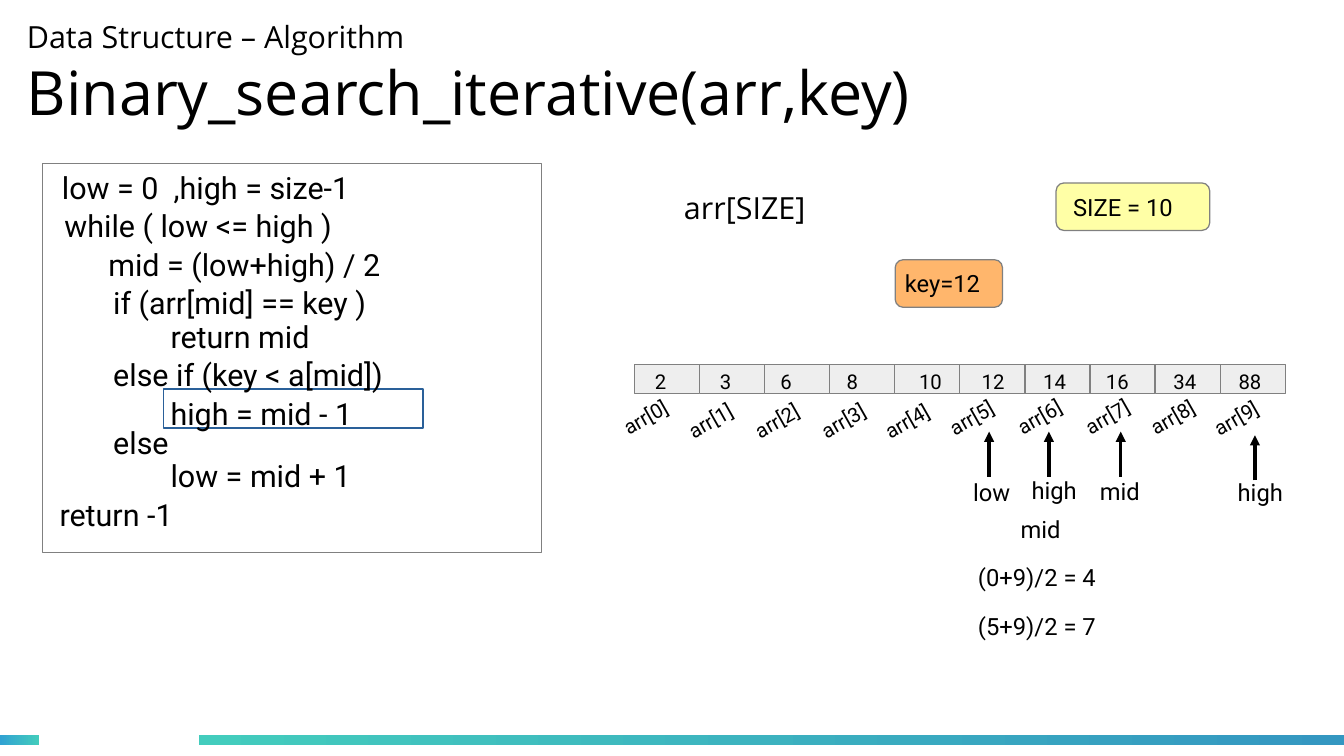
import pptx
import pptx.util
import pptx.dml.color
import pptx.enum.shapes
import pptx.enum.text
import pptx.oxml.ns
import pptx.oxml.xmlchemy

Inches = pptx.util.Inches
Pt = pptx.util.Pt
KIND = pptx.enum.shapes.MSO_SHAPE
TOP = pptx.enum.text.MSO_ANCHOR.TOP
MID = pptx.enum.text.MSO_ANCHOR.MIDDLE
LEFT = pptx.enum.text.PP_ALIGN.LEFT

HUES = {
    "ink": "000000", "white": "FFFFFF", "edge": "808080", "mark": "2A6099",
    "cell": "EEEEEE", "size": "FFFFA6", "key": "FFB66C",
    "teal": "43CCBD", "sky": "30A2D2", "blue": "3497C1",
}
CODE = [
    (0.06, 0, 3.7, "low = 0  ,high = size-1"),
    (0.08, 0.31, 2.99, "while ( low <= high )"),
    (0.44, 0.63, 3.23, "mid = (low+high) / 2"),
    (0.48, 0.94, 2.83, "if (arr[mid] == key )"),
    (0.95, 1.22, 1.65, "return mid"),
    (0.48, 1.53, 3.31, "else if (key < a[mid])"),
    (0.95, 1.85, 2.83, "high = mid - 1"),
    (0.48, 2.09, 0.79, "else"),
    (0.95, 2.36, 2.83, "low = mid + 1"),
    (0.04, 2.68, 1.54, "return -1"),
]
CELLS = [
    (2, 0.17, -0.2, 0.25, 0.7), (3, 0.17, -0.2, 0.28, 0.69),
    (6, 0.13, -0.19, 0.28, 0.69), (8, 0.14, -0.18, 0.28, 0.69),
    (10, 0.2, -0.19, 0.29, 0.67), (12, 0.18, -0.2, 0.24, 0.76),
    (14, 0.15, -0.18, 0.22, 0.81), (16, 0.13, -0.15, 0.25, 0.68),
    (34, 0.15, -0.15, 0.25, 0.7), (88, 0.15, -0.17, 0.23, 0.81),
]
MARKS = [
    ("low", 0, 0.02, 0.23, 0), ("high", 0.48, 0, 0.72, 0),
    ("mid", 1.04, 0.01, 1.31, 0), ("high", 2.17, 0.02, 2.41, 0.03),
]
NOTES = [("mid", 0.39, 0.32), ("(0+9)/2 = 4", 0.04, 0.72),
         ("(5+9)/2 = 7", 0.04, 1.12)]


def hue(name):
    """Return the named colour."""
    return pptx.dml.color.RGBColor.from_string(HUES[name])


def write(par, text, size, face="Roboto"):
    """Add one styled run to a paragraph."""
    run = par.add_run()
    run.text = text
    run.font.size = Pt(size)
    run.font.name = face
    run.font.color.rgb = hue("ink")


def frame(shape, anchor, pads):
    """Set up a text frame and return its first paragraph."""
    text = shape.text_frame
    text.word_wrap = True
    text.vertical_anchor = anchor
    text.margin_left, text.margin_top, text.margin_right, text.margin_bottom = map(Inches, pads)
    text.paragraphs[0].alignment = LEFT
    return text.paragraphs[0]


def label(slide, box, text, size, face="Roboto"):
    """Place a text box and return it."""
    shape = slide.shapes.add_textbox(*map(Inches, box))
    write(frame(shape, TOP, (0.1, 0.05, 0.1, 0.05)), text, size, face)
    return shape


def block(slide, box, fill, edge="edge", kind=KIND.RECTANGLE):
    """Place a filled shape with a hairline edge."""
    shape = slide.shapes.add_shape(kind, *map(Inches, box))
    shape.shadow.inherit = False
    shape.fill.solid()
    shape.fill.fore_color.rgb = hue(fill)
    shape.line.color.rgb = hue(edge)
    shape.line.width = Pt(0)
    return shape


def arrow(slide, x, low, high):
    """Draw an upright arrow from low to high."""
    line = slide.shapes.add_connector(
        pptx.enum.shapes.MSO_CONNECTOR.STRAIGHT,
        Inches(x), Inches(low), Inches(x), Inches(high))
    line.line.color.rgb = hue("ink")
    line.line.width = Pt(0)
    make = pptx.oxml.xmlchemy.OxmlElement
    form = line._element.find(pptx.oxml.ns.qn("p:spPr"))
    tip = make("a:tailEnd")
    tip.set("type", "triangle")
    form.find(pptx.oxml.ns.qn("a:ln")).append(tip)
    form.append(make("a:effectLst"))


def band(slide, box, start, end):
    """Draw a footer bar that fades from start to end."""
    bar = slide.shapes.add_shape(KIND.RECTANGLE, *map(Inches, box))
    bar.shadow.inherit = False
    bar.line.fill.background()
    bar.fill.gradient()
    bar.fill.gradient_angle = 0
    for stop, name in zip(bar.fill.gradient_stops, (start, end)):
        stop.color.rgb = hue(name)


def head(slide, box):
    """Fill the title placeholder with its two lines."""
    title = slide.shapes.title
    title.left, title.top, title.width, title.height = map(Inches, box)
    par = frame(title, MID, (0, 0, 0, 0))
    write(par, "Data Structure – Algorithm", 18, "Open Sans")
    par.add_line_break()
    write(par, "Binary_search_iterative(arr,key)", 36, "Open Sans")


def code(slide, box):
    """Draw the code panel with its marked line."""
    x, y = box[:2]
    block(slide, box, "white")
    block(slide, (x + 0.99, y + 1.85, 2.13, 0.32), "white", "mark")
    for dx, dy, wide, text in CODE:
        label(slide, (x + dx, y + dy, wide, 0.44), text, 18)


def badge(slide, box, fill, text, pad):
    """Draw a rounded badge with its text."""
    shape = block(slide, box, fill, kind=KIND.ROUNDED_RECTANGLE)
    write(frame(shape, MID, (pad, 0.05, 0.05, 0.05)), text, 14)


def array(slide, box):
    """Draw the row of cells with slanted index labels."""
    x, y, wide, high = box
    step = wide / len(CELLS)
    for i, (value, pad, dx, dy, span) in enumerate(CELLS):
        left = x + i * step
        cell = block(slide, (left, y, step, high), "cell")
        write(frame(cell, TOP, (pad, 0.04, 0, 0)), str(value), 12)
        tag = label(slide, (left + dx, y + dy, span, 0.33), f"arr[{i}]", 12)
        tag.rotation = -29.6


def marks(slide, box):
    """Draw the pointers and the steps below them."""
    x, y = box[:2]
    for text, dx, dy, tip, drop in MARKS:
        label(slide, (x + dx, y + dy, 0.65, 0.36), text, 14)
        arrow(slide, x + tip, y + 0.06 + drop, y - 0.31 + drop)
    for text, dx, dy in NOTES:
        label(slide, (x + dx, y + dy, 1.42, 0.39), text, 14)


def main():
    """Build the slide and save it."""
    deck = pptx.Presentation()
    deck.slide_width, deck.slide_height = Inches(11.02), Inches(6.2)
    slide = deck.slides.add_slide(deck.slide_layouts[5])
    band(slide, (0, 6.03, 0.32, 0.08), "sky", "teal")
    band(slide, (1.63, 6.03, 9.39, 0.08), "teal", "blue")
    head(slide, (0.22, -0.13, 10.41, 1.45))
    label(slide, (5.51, 1.5, 1.42, 0.44), "arr[SIZE]", 18, "Open Sans")
    badge(slide, (8.66, 1.5, 1.26, 0.39), "size", "SIZE = 10", 0.12)
    code(slide, (0.35, 1.34, 4.09, 3.19))
    array(slide, (5.2, 2.99, 5.34, 0.24))
    marks(slide, (7.88, 3.85, 2.82, 1.51))
    badge(slide, (7.34, 2.13, 0.88, 0.39), "key", "key=12", 0.06)
    deck.save("out.pptx")


if __name__ == "__main__":
    main()
